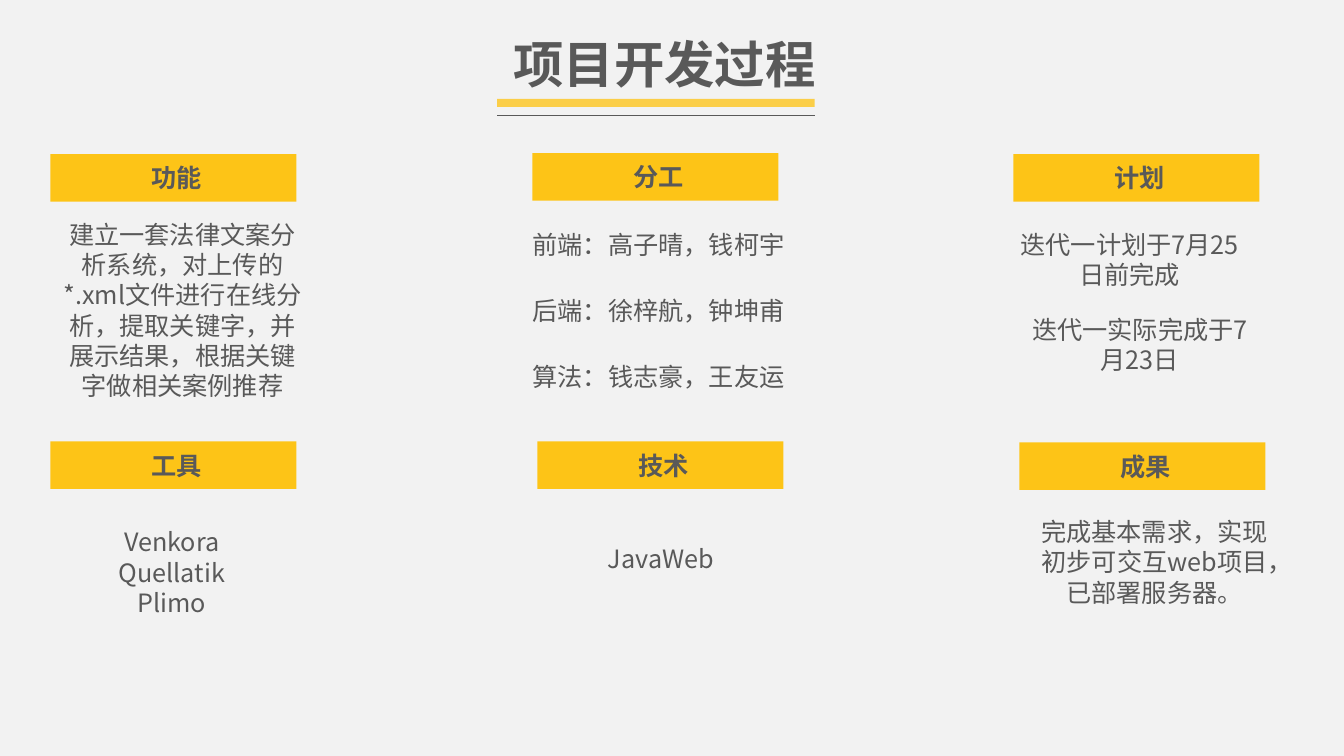
from pptx import Presentation
from pptx.dml.color import RGBColor
from pptx.enum import lang, shapes, text
from pptx.oxml import ns
from pptx.util import Inches, Pt
from lxml import etree

BACKGROUND = RGBColor(0xF2, 0xF2, 0xF2)
GOLD = RGBColor(0xFF, 0xC0, 0x00)
GRAY = RGBColor(0x59, 0x59, 0x59)
FONT = "Noto Sans CJK SC"
CARD_WIDTH = 2.44
BODY_WIDTH = 2.39
BODY_HEIGHT = 1.17

HEADINGS = [
    ("功能", 0.5, 1.53),
    ("分工", 5.28, 1.52),
    ("计划", 10.05, 1.53),
    ("工具", 0.5, 4.38),
    ("技术", 5.33, 4.38),
    ("成果", 10.11, 4.39),
]
TEAM = ["前端：高子晴，钱柯宇", "后端：徐梓航，钟坤甫", "算法：钱志豪，王友运"]


def write(shape, content, size=18, bold=False, left_inset=0.1, bottom_inset=0.05):
    frame = shape.text_frame
    frame.word_wrap = True
    frame.vertical_anchor = text.MSO_ANCHOR.MIDDLE
    frame.margin_left = Inches(left_inset)
    frame.margin_bottom = Inches(bottom_inset)
    frame.text = content
    for paragraph in frame.paragraphs:
        paragraph.alignment = text.PP_ALIGN.CENTER
        for run in paragraph.runs:
            font = run.font
            font.name = FONT
            font.size = Pt(size)
            font.bold = bold
            font.color.rgb = GRAY
            font.language_id = lang.MSO_LANGUAGE_ID.SIMPLIFIED_CHINESE
            properties = run._r.get_or_add_rPr()
            etree.SubElement(properties, ns.qn("a:ea"), typeface=FONT)


def add_text(slide, content, left, top, width=BODY_WIDTH, height=BODY_HEIGHT, **style):
    box = slide.shapes.add_textbox(
        Inches(left), Inches(top), Inches(width), Inches(height))
    write(box, content, **style)


def add_bar(slide, left, top, width, height, opacity):
    bar = slide.shapes.add_shape(
        shapes.MSO_SHAPE.RECTANGLE,
        Inches(left), Inches(top), Inches(width), Inches(height))
    bar.shadow.inherit = False
    bar.fill.solid()
    bar.fill.fore_color.rgb = GOLD
    bar.line.fill.background()
    color = bar.fill._xPr.find(".//" + ns.qn("a:srgbClr"))
    etree.SubElement(color, ns.qn("a:alpha"), val=str(opacity * 1000))
    return bar


def add_rule(slide, left, right, top):
    rule = slide.shapes.add_connector(
        shapes.MSO_CONNECTOR.STRAIGHT,
        Inches(left), Inches(top), Inches(right), Inches(top))
    rule.line.color.rgb = GRAY
    rule.line.width = Pt(0.25)
    etree.SubElement(rule._element.spPr, ns.qn("a:effectLst"))


def add_title(slide):
    add_bar(slide, 4.93, 0.98, 3.15, 0.08, opacity=70)
    add_rule(slide, 4.93, 8.08, 1.14)
    add_text(slide, "项目开发过程", 4.78, 0.43, 3.54, 0.39,
             size=36, bold=True, left_inset=0.18)


def main():
    presentation = Presentation()
    presentation.slide_width = Inches(13.33)
    presentation.slide_height = Inches(7.5)
    slide = presentation.slides.add_slide(presentation.slide_layouts[6])
    slide.background.fill.solid()
    slide.background.fill.fore_color.rgb = BACKGROUND

    add_title(slide)
    for heading, left, top in HEADINGS:
        bar = add_bar(slide, left, top, CARD_WIDTH, 0.47, opacity=90)
        write(bar, heading, bold=True, left_inset=0.16)

    add_text(slide, "建立一套法律文案分析系统，对上传的*.xml文件进行在线分析，"
             "提取关键字，并展示结果，根据关键字做相关案例推荐", 0.49, 1.6, 2.64, 2.95)
    for row, members in enumerate(TEAM):
        add_text(slide, members, 4.99, 1.68 + row * 0.655, 3.08, 1.48)
    add_text(slide, "迭代一计划于7月25日前完成", 10.01, 1.99)
    add_text(slide, "迭代一实际完成于7月23日", 10.11, 2.83)
    add_text(slide, "Venkora\nQuellatik\nPlimo", 0.51, 5.09)
    add_text(slide, "JavaWeb", 5.36, 5.11, bottom_inset=0.35)
    add_text(slide, "完成基本需求，实现初步可交互web项目，已部署服务器。",
             10.11, 5.14, 2.68, bottom_inset=0.35)
    presentation.save("out.pptx")


if __name__ == "__main__":
    main()
